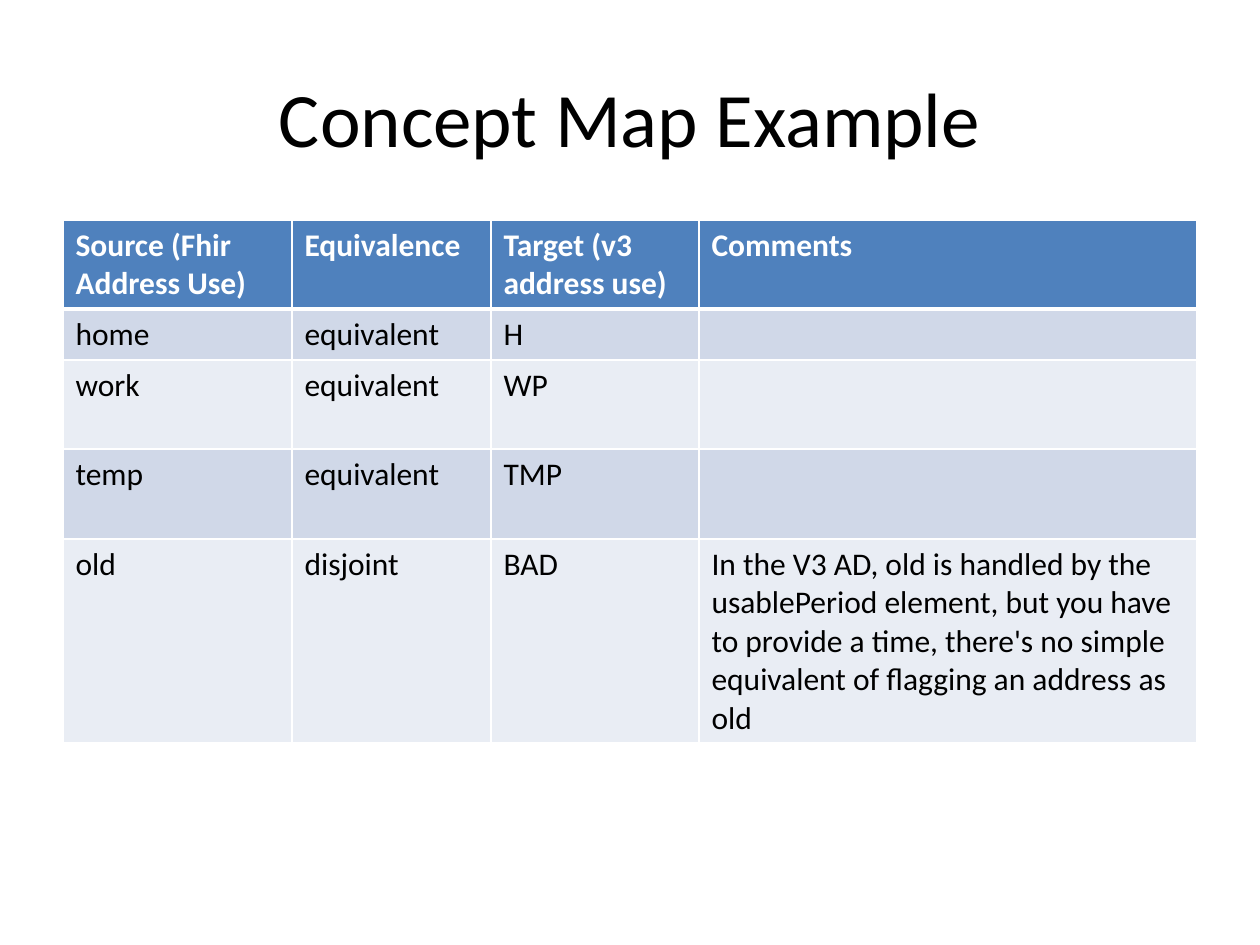
from pptx import Presentation
from pptx.dml.color import RGBColor
from pptx.enum.text import MSO_ANCHOR, PP_ALIGN
from pptx.oxml.ns import qn
from pptx.util import Pt
from lxml.etree import SubElement

FONT = "Calibri"
BLACK = RGBColor(0x00, 0x00, 0x00)
WHITE = RGBColor(0xFF, 0xFF, 0xFF)
BLUE = RGBColor(0x4F, 0x81, 0xBD)
BANDS = [RGBColor(0xD0, 0xD8, 0xE8), RGBColor(0xE9, 0xED, 0xF4)]

COLS = [229, 199, 208, 498]
ROWS = [89, 51, 89, 90, 204]
CELLS = [
    ["Source (Fhir Address Use)", "Equivalence", "Target (v3 address use)", "Comments"],
    ["home", "equivalent", "H", ""],
    ["work", "equivalent", "WP", ""],
    ["temp", "equivalent", "TMP", ""],
    ["old", "disjoint", "BAD",
     "In the V3 AD, old is handled by the usablePeriod element, but you have to "
     "provide a time, there's no simple equivalent of flagging an address as old"],
]


def px(n):
    """Turn px into EMU at 126 px to the inch."""
    return round(n * 914400 / 126)


def write(para, text, size, color, bold=False):
    """Add one styled run to a paragraph."""
    run = para.add_run()
    run.text = text
    font = run.font
    font.name, font.size, font.bold = FONT, Pt(size), bold
    font.color.rgb = color


def edge(cell, side, width):
    """Draw one white border of a cell."""
    line = SubElement(cell._tc.get_or_add_tcPr(), qn(f"a:ln{side}"), w=str(Pt(width)))
    fill = SubElement(line, qn("a:solidFill"))
    SubElement(fill, qn("a:srgbClr"), val=str(WHITE))


def title(slide, left, top, width, height):
    """Place the centred slide title in its box."""
    frame = slide.shapes.add_textbox(px(left), px(top), px(width), px(height)).text_frame
    frame.word_wrap = True
    frame.vertical_anchor = MSO_ANCHOR.MIDDLE
    para = frame.paragraphs[0]
    para.alignment = PP_ALIGN.CENTER
    write(para, "Concept Map Example", 44, BLACK)


def grid(slide, left, top):
    """Place the concept map table with its corner at left, top."""
    table = slide.shapes.add_table(
        len(ROWS), len(COLS), px(left), px(top), px(sum(COLS)), px(sum(ROWS))).table
    for col, width in zip(table.columns, COLS):
        col.width = px(width)
    for r, (row, height) in enumerate(zip(table.rows, ROWS)):
        row.height = px(height)
        head = r == 0
        for cell, text in zip(row.cells, CELLS[r]):
            for side in "LRTB":
                thick = (r, side) in [(0, "B"), (1, "T")]
                edge(cell, side, 3 if thick else 1)
            cell.fill.solid()
            cell.fill.fore_color.rgb = BLUE if head else BANDS[(r - 1) % 2]
            if text:
                para = cell.text_frame.paragraphs[0]
                write(para, text, 18, WHITE if head else BLACK, head)


def main():
    """Build and save the slide."""
    deck = Presentation()
    deck.slide_width, deck.slide_height = px(1260), px(945)
    slide = deck.slides.add_slide(deck.slide_layouts[6])
    title(slide, 63, 38, 1134, 157)
    grid(slide, 63, 220)
    deck.save("out.pptx")


if __name__ == "__main__":
    main()
